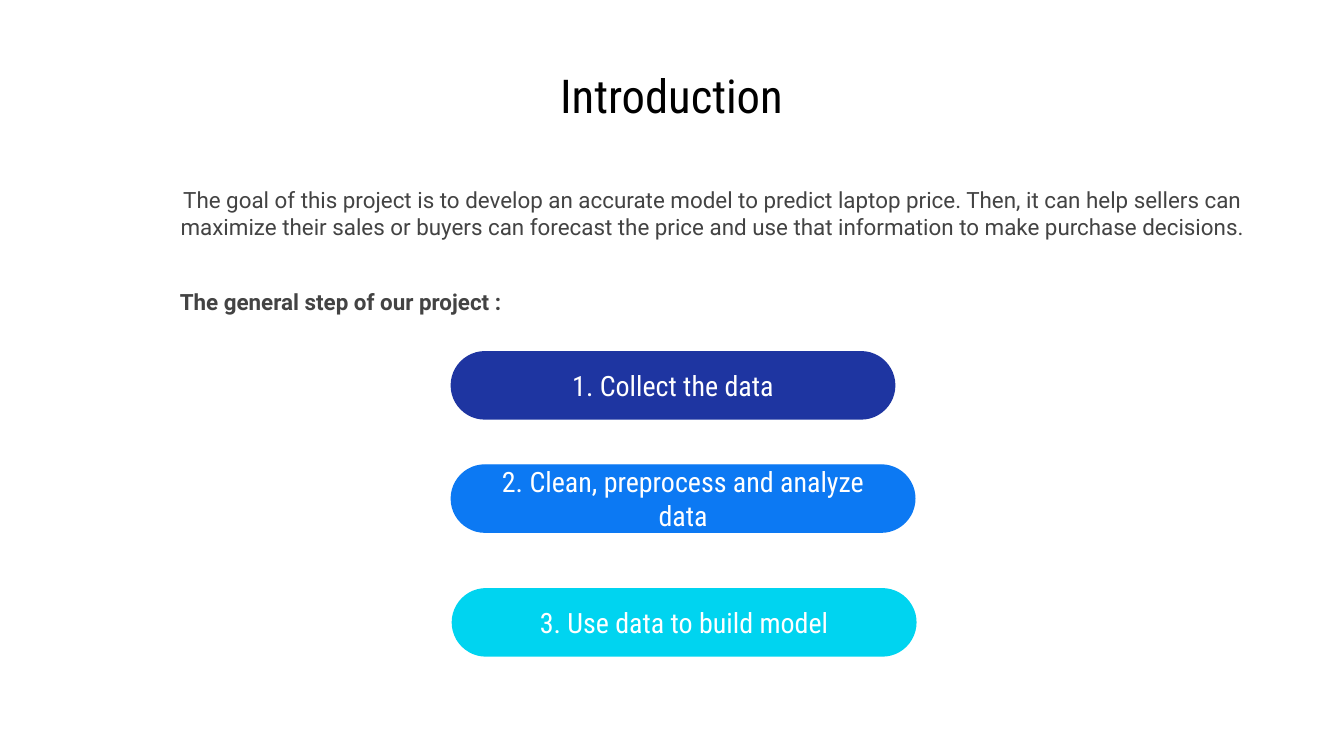
from dataclasses import dataclass

from pptx import Presentation
from pptx.dml.color import RGBColor
from pptx.enum.shapes import MSO_SHAPE
from pptx.enum.text import MSO_ANCHOR, PP_ALIGN
from pptx.shapes.autoshape import Shape
from pptx.slide import Slide
from pptx.util import Cm, Pt

PILL = MSO_SHAPE.ROUNDED_RECTANGLE
MIDDLE = MSO_ANCHOR.MIDDLE
LEFT, CENTER = PP_ALIGN.LEFT, PP_ALIGN.CENTER

BLACK = RGBColor(0x00, 0x00, 0x00)
WHITE = RGBColor(0xFF, 0xFF, 0xFF)
GRAY = RGBColor(0x43, 0x43, 0x43)
NAVY = RGBColor(0x1E, 0x35, 0xA1)
BLUE = RGBColor(0x0C, 0x79, 0xF3)
CYAN = RGBColor(0x00, 0xD4, 0xF0)

BODY_FONT = "Roboto"
DISPLAY_FONT = "Roboto Condensed"
INSET = Cm(0.25)
STEP_HEIGHT = 1.27


@dataclass(frozen=True)
class Box:
    """Position and size in centimetres."""
    left: float
    top: float
    width: float
    height: float

    def lengths(self) -> tuple[Cm, Cm, Cm, Cm]:
        return Cm(self.left), Cm(self.top), Cm(self.width), Cm(self.height)


@dataclass(frozen=True)
class TextStyle:
    font: str
    size: float
    color: RGBColor
    align: PP_ALIGN = CENTER
    bold: bool = False


@dataclass(frozen=True)
class Passage:
    text: str
    box: Box
    style: TextStyle


@dataclass(frozen=True)
class Step:
    text: str
    box: Box
    color: RGBColor


STEP_STYLE = TextStyle(DISPLAY_FONT, 15, WHITE)

PASSAGES = [
    Passage("Introduction", Box(1.3, 1.12, 22.78, 1.35),
            TextStyle(DISPLAY_FONT, 25, BLACK)),
    Passage("The goal of this project is to develop an accurate model to "
            "predict laptop price. Then, it can help sellers can maximize "
            "their sales or buyers can forecast the price and use that "
            "information to make purchase decisions.",
            Box(2.82, 3.15, 21.31, 1.75), TextStyle(BODY_FONT, 12, GRAY)),
    Passage("The general step of our project :", Box(3.15, 4.9, 6.63, 1.6),
            TextStyle(BODY_FONT, 12, GRAY, LEFT, bold=True)),
]

STEPS = [
    Step("1. Collect the data", Box(8.53, 6.65, 8.38, STEP_HEIGHT), NAVY),
    Step("2. Clean, preprocess and analyze data",
         Box(8.53, 8.79, 8.76, STEP_HEIGHT), BLUE),
    Step("3. Use data to build model",
         Box(8.55, 11.13, 8.76, STEP_HEIGHT), CYAN),
]


def write_text(holder: Shape, text: str, style: TextStyle) -> None:
    frame = holder.text_frame
    frame.text = text
    frame.word_wrap = True
    frame.vertical_anchor = MIDDLE
    frame.margin_left = frame.margin_right = INSET
    frame.margin_top = frame.margin_bottom = INSET
    paragraph = frame.paragraphs[0]
    paragraph.alignment = style.align
    font = paragraph.runs[0].font
    font.name = style.font
    font.size = Pt(style.size)
    font.bold = style.bold
    font.color.rgb = style.color


def draw_passage(slide: Slide, passage: Passage) -> None:
    holder = slide.shapes.add_textbox(*passage.box.lengths())
    write_text(holder, passage.text, passage.style)


def draw_step(slide: Slide, step: Step) -> None:
    pill = slide.shapes.add_shape(PILL, *step.box.lengths())
    pill.adjustments[0] = 0.5
    pill.shadow.inherit = False
    pill.fill.solid()
    pill.fill.fore_color.rgb = step.color
    pill.line.color.rgb = step.color
    pill.line.width = Pt(0.75)
    write_text(pill, step.text, STEP_STYLE)


def main() -> None:
    presentation = Presentation()
    presentation.slide_width = Cm(25.4)
    presentation.slide_height = Cm(14.29)
    slide = presentation.slides.add_slide(presentation.slide_layouts[6])
    for passage in PASSAGES:
        draw_passage(slide, passage)
    for step in STEPS:
        draw_step(slide, step)
    presentation.save("out.pptx")


if __name__ == "__main__":
    main()
